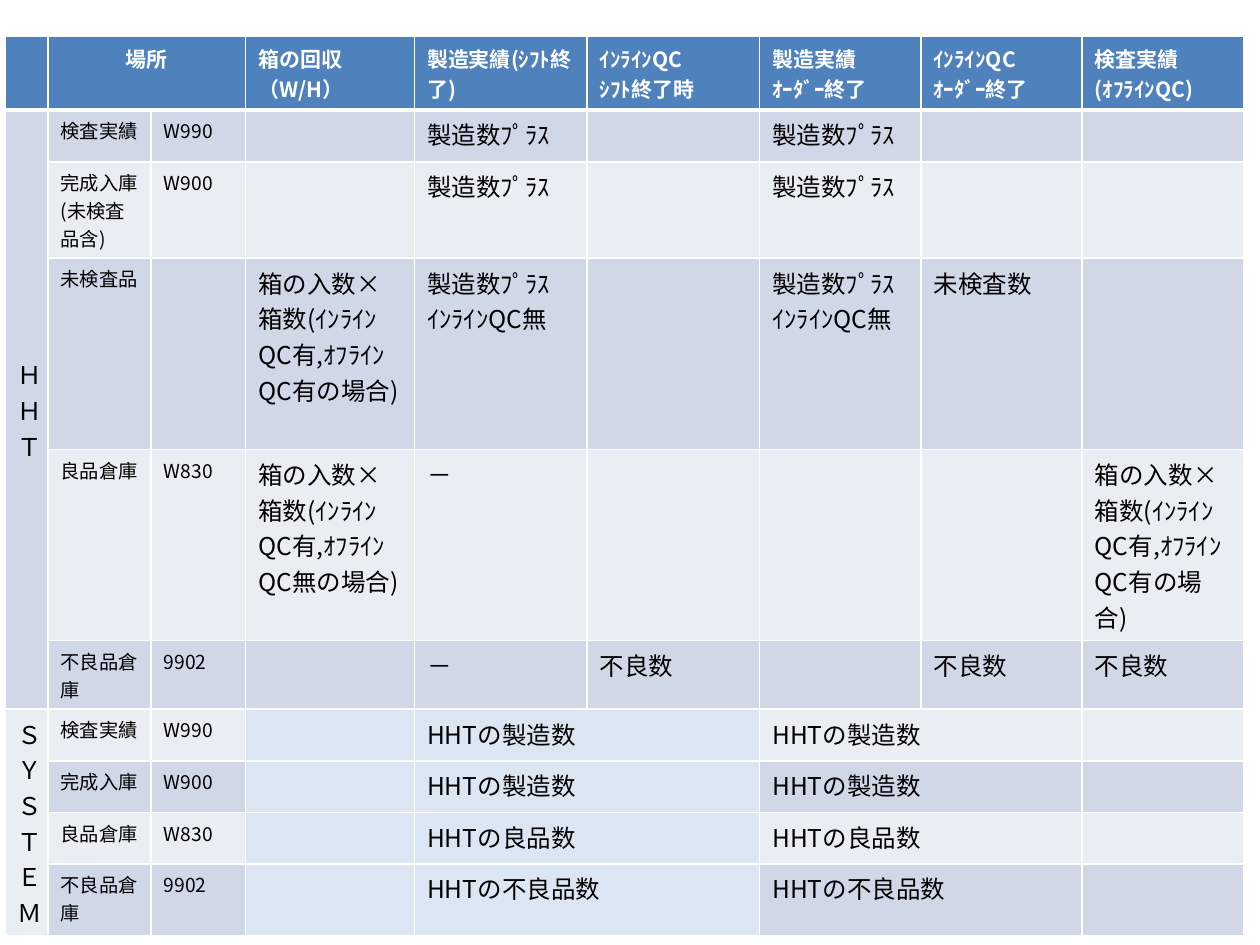
from lxml.etree import SubElement
from pptx import Presentation
from pptx.dml.color import RGBColor as Color
from pptx.enum.text import MSO_ANCHOR as Anchor, PP_ALIGN as Align
from pptx.oxml.ns import qn
from pptx.util import Inches, Pt

FONT = "Noto Sans CJK JP"
WHITE = Color(0xFF, 0xFF, 0xFF)
BLACK = Color(0, 0, 0)
HEADER_BLUE = Color(0x4F, 0x81, 0xBD)
DARK_BAND = Color(0xD0, 0xD8, 0xE8)
LIGHT_BAND = Color(0xE9, 0xED, 0xF4)
PALE_BLUE = Color(0xDC, 0xE6, 0xF2)

COLUMN_WIDTHS = [0.34, 0.82, 0.75, 1.34, 1.37, 1.37, 1.28, 1.28, 1.28]
HEADER_HEIGHT, ROW_HEIGHT = 0.34, 0.41
TABLE_LEFT, TABLE_TOP, TABLE_HEIGHT = 0.04, 0.29, 6.01
FIRST_SYSTEM_ROW = 6

PLUS = "製造数ﾌﾟﾗｽ"
NO_INLINE = PLUS + "\nｲﾝﾗｲﾝQC無"
BOXES = "箱の入数×箱数(ｲﾝﾗｲﾝQC有,ｵﾌﾗｲﾝQC{}の場合)"
WITH_OFFLINE, WITHOUT_OFFLINE = BOXES.format("有"), BOXES.format("無")
DEFECTS = "不良数"

HEADER = ["", "場所", "", "箱の回収\n（W/H）", "製造実績(ｼﾌﾄ終了)",
          "ｲﾝﾗｲﾝQC\nｼﾌﾄ終了時", "製造実績\nｵｰﾀﾞｰ終了",
          "ｲﾝﾗｲﾝQC\nｵｰﾀﾞｰ終了", "検査実績\n(ｵﾌﾗｲﾝQC)"]
TERMINAL_ROWS = [
    ["Ｈ\nＨ\nＴ", "検査実績", "W990", "", PLUS, "", PLUS, "", ""],
    ["", "完成入庫(未検査品含)", "W900", "", PLUS, "", PLUS, "", ""],
    ["", "未検査品", "", WITH_OFFLINE, NO_INLINE, "", NO_INLINE, "未検査数", ""],
    ["", "良品倉庫", "W830", WITHOUT_OFFLINE, "－", "", "", "", WITH_OFFLINE],
    ["", "不良品倉庫", "9902", "", "－", DEFECTS, "", DEFECTS, DEFECTS],
]
SYSTEM_ROWS = [
    [group, place, code, "", "HHTの" + count, "", "HHTの" + count, "", ""]
    for group, place, code, count in [
        ("ＳＹＳＴＥＭ", "検査実績", "W990", "製造数"),
        ("", "完成入庫", "W900", "製造数"),
        ("", "良品倉庫", "W830", "良品数"),
        ("", "不良品倉庫", "9902", "不良品数"),
    ]
]
ROWS = [HEADER] + TERMINAL_ROWS + SYSTEM_ROWS

# first row, first column, last row, last column
MERGES = [(0, 1, 0, 2), (1, 0, 5, 0), (6, 0, 9, 0)]
MERGES += [(row, column, row, column + 1)
           for row in range(FIRST_SYSTEM_ROW, len(ROWS)) for column in (4, 6)]


def cell_fill(row, column):
    """Return the background colour of a cell."""
    if row == 0:
        return HEADER_BLUE
    if row >= FIRST_SYSTEM_ROW:
        if column == 0:
            return LIGHT_BAND
        if column in (3, 4, 5):
            return PALE_BLUE
    return DARK_BAND if row % 2 else LIGHT_BAND


def text_format(row, column):
    """Return the font values of a cell."""
    if row == 0:
        return {"size": Pt(12), "bold": True, "name": FONT}
    size = 11 if column in (1, 2) else 14
    return {"size": Pt(size), "bold": False, "name": FONT}


def set_borders(cell, row):
    """Draw white cell borders, thicker below the header."""
    properties = cell._tc.get_or_add_tcPr()
    widths = {"lnL": 1, "lnR": 1, "lnT": 3 if row == 1 else 1,
              "lnB": 3 if row == 0 else 1}
    for tag, width in widths.items():
        line = SubElement(properties, qn("a:" + tag), w=str(Pt(width)))
        fill = SubElement(line, qn("a:solidFill"))
        SubElement(fill, qn("a:srgbClr"), val=str(WHITE))


def write_text(cell, text, values, color, alignment):
    """Write one paragraph for each line of text."""
    cell.text = text
    for paragraph in cell.text_frame.paragraphs:
        paragraph.alignment = alignment
        for run in paragraph.runs:
            for name, value in values.items():
                setattr(run.font, name, value)
            run.font.color.rgb = color
            SubElement(run.font._element, qn("a:ea"), typeface=FONT)
        if not paragraph.runs:
            size = str(int(values["size"].pt * 100))
            SubElement(paragraph._p, qn("a:endParaRPr"), sz=size)


def fill_cell(cell, row, column, text):
    """Give a cell its borders, fill and text."""
    set_borders(cell, row)
    cell.fill.solid()
    cell.fill.fore_color.rgb = cell_fill(row, column)
    group = column == 0 and row > 0
    centred = group or (row, column) == (0, 1)
    if group:
        cell.vertical_anchor = Anchor.MIDDLE
    write_text(cell, text, text_format(row, column),
               BLACK if row else WHITE,
               Align.CENTER if centred else Align.LEFT)


def add_stock_table(slide):
    """Add the table of stock movements by place and event."""
    frame = slide.shapes.add_table(
        len(ROWS), len(COLUMN_WIDTHS), Inches(TABLE_LEFT), Inches(TABLE_TOP),
        Inches(sum(COLUMN_WIDTHS)), Inches(TABLE_HEIGHT))
    table = frame.table
    table.horz_banding = False
    for column, width in zip(table.columns, COLUMN_WIDTHS):
        column.width = Inches(width)
    for index, row in enumerate(table.rows):
        row.height = Inches(ROW_HEIGHT if index else HEADER_HEIGHT)
    frame.height = Inches(TABLE_HEIGHT)
    for row, texts in enumerate(ROWS):
        for column, text in enumerate(texts):
            fill_cell(table.cell(row, column), row, column, text)
    for top, left, bottom, right in MERGES:
        table.cell(top, left).merge(table.cell(bottom, right))


def main():
    """Build the slide and save it."""
    presentation = Presentation()
    presentation.slide_width = Inches(10)
    presentation.slide_height = Inches(7.5)
    slide = presentation.slides.add_slide(presentation.slide_layouts[6])
    add_stock_table(slide)
    presentation.save("out.pptx")


main()
